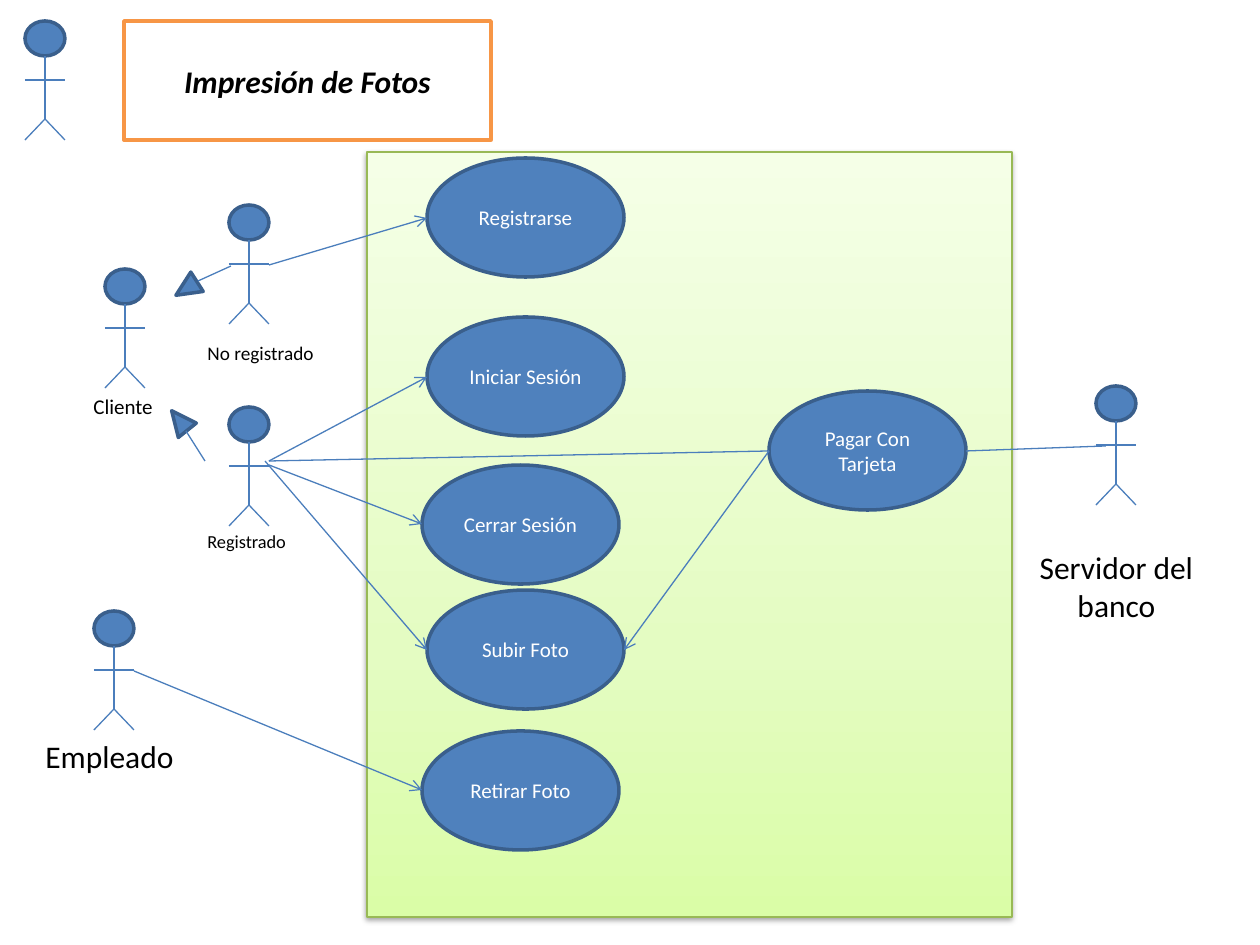
from copy import deepcopy

from lxml.etree import SubElement
from pptx import Presentation
from pptx.dml.color import RGBColor
from pptx.enum.shapes import MSO_CONNECTOR, MSO_SHAPE
from pptx.enum.text import MSO_ANCHOR, MSO_AUTO_SIZE, PP_ALIGN
from pptx.oxml.ns import qn
from pptx.util import Emu, Pt

SCALE = 914400 / 126
COLORS = {
    "black": "000000",
    "white": "FFFFFF",
    "blue": "4F81BD",
    "outline": "3A5F8C",
    "stroke": "4B7EBC",
    "orange": "F79646",
    "border": "98B955",
}
SYSTEM_STOPS = [(0, "DAFDA7"), (0.35, "E4FCC2"), (1, "F5FFE7")]
ACTORS = [(25, 21), (105, 269), (229, 407), (229, 205), (94, 611), (1096, 386)]
GENERALIZATIONS = [
    ((175, 276), 237.3, (198, 281), (231, 266)),
    ((168, 408), 321.3, (186, 431), (205, 461)),
]
LABELS = [
    ("Cliente", (81, 387, 97, 38), 12, PP_ALIGN.LEFT, True),
    ("No registrado", (195, 335, 136, 37), 11, PP_ALIGN.LEFT, True),
    ("Registrado", (195, 524, 110, 37), 10.5, PP_ALIGN.LEFT, False),
    ("Empleado", (33, 731, 175, 50), 18, PP_ALIGN.LEFT, True),
    ("Servidor del banco", (1027, 542, 179, 89), 18, PP_ALIGN.CENTER, True),
]
USE_CASES = [
    ("Registrarse", 427, 158),
    ("Iniciar Sesión", 427, 317),
    ("Cerrar Sesión", 422, 465),
    ("Subir Foto", 427, 590),
    ("Pagar Con Tarjeta", 769, 391),
    ("Retirar Foto", 422, 731),
]
ASSOCIATIONS = [
    ((269, 265), (427, 218), True),
    ((269, 461), (427, 377), True),
    ((269, 465), (422, 524), True),
    ((265, 461), (427, 650), True),
    ((134, 671), (422, 790), True),
    ((769, 451), (624, 650), True),
    ((269, 461), (769, 451), False),
    ((1106, 446), (966, 451), False),
]


def px(*lengths):
    """Turn pixel lengths into EMU."""
    return [Emu(round(length * SCALE)) for length in lengths]


def color(name):
    """Look up a named colour."""
    return RGBColor.from_string(COLORS[name])


def apply_format(target, values):
    """Set every attribute in values on target."""
    for name, value in values.items():
        setattr(target, name, value)


def paint(shape, fill, line, width):
    """Give a shape a solid fill and a line, without shadow."""
    shape.shadow.inherit = False
    shape.fill.solid()
    shape.fill.fore_color.rgb = color(fill)
    shape.line.color.rgb = color(line)
    shape.line.width = Pt(width)


def write(shape, text, size, ink="black", align=PP_ALIGN.CENTER, frame=None, font=None):
    """Write one paragraph of formatted text in a shape."""
    frame_format = {"word_wrap": True, "vertical_anchor": MSO_ANCHOR.MIDDLE}
    apply_format(shape.text_frame, frame_format | (frame or {}))
    para = shape.text_frame.paragraphs[0]
    para.alignment = align
    span = para.add_run()
    span.text = text
    apply_format(span.font, {"name": "Calibri", "size": Pt(size)} | (font or {}))
    span.font.color.rgb = color(ink)


def add_line(shapes, start, end, arrow=False):
    """Draw a thin straight connector, with an open arrowhead if asked."""
    line = shapes.add_connector(MSO_CONNECTOR.STRAIGHT, *px(*start, *end))
    line.line.color.rgb = color("stroke")
    line.line.width = Pt(0.75)
    if arrow:
        SubElement(line.line._get_or_add_ln(), qn("a:tailEnd"), type="arrow")
    SubElement(line._element.spPr, qn("a:effectLst"))


def add_title(page):
    """Frame the title placeholder in orange."""
    box = page.shapes.title
    names = ("left", "top", "width", "height")
    apply_format(box, dict(zip(names, px(124, 21, 367, 119))))
    paint(box, "white", "orange", 2)
    write(box, "Impresión de Fotos", 18, frame={"auto_size": MSO_AUTO_SIZE.NONE},
          font={"bold": True, "italic": True})


def add_system(page):
    """Draw the system boundary with its gradient and shadow."""
    box = page.shapes.add_shape(MSO_SHAPE.RECTANGLE, *px(367, 152, 645, 765))
    paint(box, "white", "border", 0.75)
    box.fill.gradient()
    box.fill.gradient_angle = 90
    stop_list = box._element.spPr.find(".//" + qn("a:gsLst"))
    stop_list.append(deepcopy(stop_list[0]))
    for stop, (position, shade) in zip(box.fill.gradient_stops, SYSTEM_STOPS):
        stop.position = position
        stop.color.rgb = RGBColor.from_string(shade)
    effects = box._element.spPr.find(qn("a:effectLst"))
    shadow = SubElement(effects, qn("a:outerShdw"), blurRad=str(Pt(3.1)),
                        dist=str(Pt(1.6)), dir="5400000", rotWithShape="0")
    ink = SubElement(shadow, qn("a:srgbClr"), val=COLORS["black"])
    SubElement(ink, qn("a:alpha"), val="38000")


def add_actor(page, left, top):
    """Draw a stick figure as a group."""
    shapes = page.shapes.add_group_shape().shapes
    head = shapes.add_shape(MSO_SHAPE.OVAL, *px(left, top, 40, 35))
    paint(head, "blue", "outline", 2)
    middle, right = left + 20, left + 40
    hip = (middle, top + 98)
    add_line(shapes, (middle, top + 35), hip)
    add_line(shapes, (left, top + 59), (right, top + 59))
    for foot in (left, right):
        add_line(shapes, hip, (foot, top + 119))


def add_generalization(page, corner, rotation, start, end):
    """Draw a rotated triangle with its line as a group."""
    shapes = page.shapes.add_group_shape().shapes
    head = shapes.add_shape(MSO_SHAPE.ISOSCELES_TRIANGLE, *px(*corner, 23, 25))
    paint(head, "blue", "outline", 2)
    head.rotation = rotation
    add_line(shapes, start, end)


def add_label(page, text, place, size, align, wrap):
    """Add an actor's name."""
    box = page.shapes.add_textbox(*px(*place))
    write(box, text, size, align=align, frame={
        "word_wrap": wrap,
        "vertical_anchor": MSO_ANCHOR.TOP,
        "auto_size": MSO_AUTO_SIZE.SHAPE_TO_FIT_TEXT,
    })


def add_use_case(page, text, left, top):
    """Draw a use case ellipse."""
    oval = page.shapes.add_shape(MSO_SHAPE.OVAL, *px(left, top, 197, 119))
    paint(oval, "blue", "outline", 2)
    write(oval, text, 12, ink="white")


def main():
    """Build the use case diagram."""
    deck = Presentation()
    deck.slide_width, deck.slide_height = px(1260, 945)
    page = deck.slides.add_slide(deck.slide_layouts[5])
    add_title(page)
    add_system(page)
    for actor in ACTORS:
        add_actor(page, *actor)
    for generalization in GENERALIZATIONS:
        add_generalization(page, *generalization)
    for label in LABELS:
        add_label(page, *label)
    for use_case in USE_CASES:
        add_use_case(page, *use_case)
    for association in ASSOCIATIONS:
        add_line(page.shapes, *association)
    deck.save("out.pptx")


if __name__ == "__main__":
    main()
